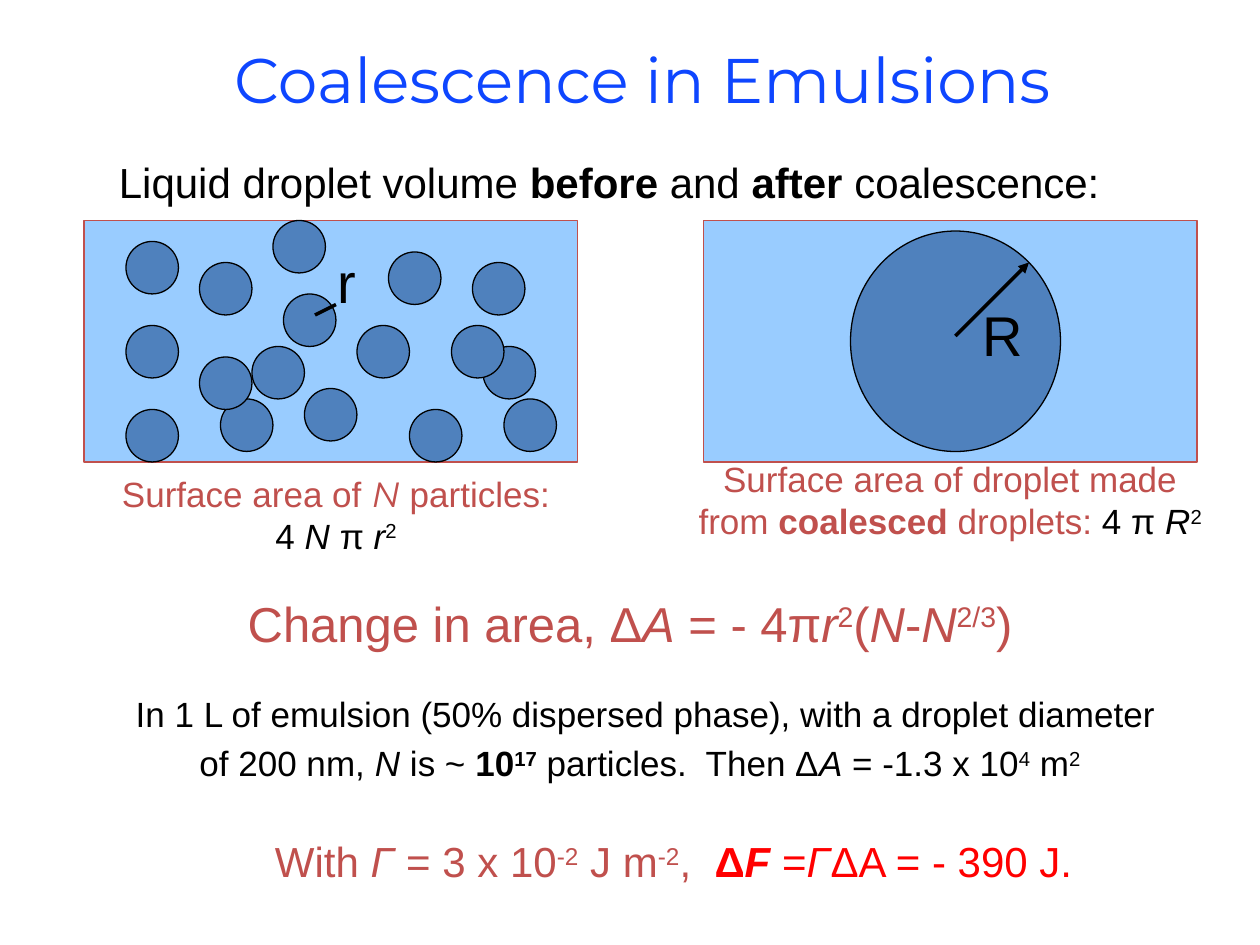
"""Build the slide on droplet coalescence in emulsions."""
import pptx
import pptx.dml.color
import pptx.enum.shapes
import pptx.enum.text
import pptx.oxml
import pptx.oxml.ns
import pptx.util

Pt = pptx.util.Pt
SHAPE = pptx.enum.shapes.MSO_SHAPE
ALIGN = pptx.enum.text.PP_ALIGN
AUTO = pptx.enum.text.MSO_AUTO_SIZE
COLORS = {name: pptx.dml.color.RGBColor.from_string(value) for name, value in {
    "title": "0E46FF", "water": "99CCFF", "droplet": "4F81BD",
    "brick": "C0504D", "black": "000000", "red": "FF0000"}.items()}


def add_area(kind, left, top, width, height, fill, outline):
    area = slide.shapes.add_shape(kind, Pt(left), Pt(top), Pt(width), Pt(height))
    area.shadow.inherit = False
    area.fill.solid()
    area.fill.fore_color.rgb = COLORS[fill]
    area.line.color.rgb = COLORS[outline]
    area.line.width = Pt(0.75)


def add_text(left, top, width, height, size, color, runs, align=ALIGN.CENTER, wrap=True):
    box = slide.shapes.add_textbox(Pt(left), Pt(top), Pt(width), Pt(height))
    frame = box.text_frame
    frame.word_wrap = wrap
    frame.auto_size = AUTO.SHAPE_TO_FIT_TEXT
    paragraph = frame.paragraphs[0]
    paragraph.alignment = align
    for text, style in runs:
        marks = style.split()
        run = paragraph.add_run()
        run.text = text
        run.font.name = "Montserrat" if "Montserrat" in marks else "Arial"
        run.font.size = Pt(next((int(m) for m in marks if m.isdigit()), size))
        run.font.color.rgb = COLORS[next((m for m in marks if m in COLORS), color)]
        run.font.bold = "bold" in marks
        run.font.italic = "italic" in marks
        if "super" in marks:
            run._r.get_or_add_rPr().set("baseline", "30000")
    return frame


deck = pptx.Presentation()
deck.slide_width, deck.slide_height = Pt(720), Pt(540)
slide = deck.slides.add_slide(deck.slide_layouts[5])

title = slide.shapes.title
title.left, title.top, title.width, title.height = Pt(72), Pt(16), Pt(590), Pt(57)
title.text_frame.text = "Coalescence in Emulsions"
title.text_frame.auto_size = AUTO.NONE
title.text_frame.vertical_anchor = pptx.enum.text.MSO_ANCHOR.MIDDLE
heading = title.text_frame.paragraphs[0]
heading.alignment = ALIGN.CENTER
heading.runs[0].font.name = "Montserrat"
heading.runs[0].font.size = Pt(36)
heading.runs[0].font.color.rgb = COLORS["title"]

for left in (402, 48):
    add_area(SHAPE.RECTANGLE, left, 126, 282, 138, "water", "brick")

droplets = [(156, 126), (144, 198), (72, 234), (72, 138), (126, 228), (174, 222),
            (222, 144), (276, 198), (114, 150), (72, 186), (162, 168), (204, 186),
            (270, 150), (114, 204), (288, 228), (258, 186), (234, 234)]
for left, top in droplets:
    add_area(SHAPE.OVAL, left, top, 30, 30, "droplet", "black")
add_area(SHAPE.OVAL, 486, 132, 120, 126, "droplet", "black")

for ends, has_arrow in (((546, 192, 588, 150), True), ((180, 180, 192, 174), False)):
    radius = slide.shapes.add_connector(
        pptx.enum.shapes.MSO_CONNECTOR.STRAIGHT, *[Pt(end) for end in ends])
    radius.line.color.rgb = COLORS["black"]
    radius.line.width = Pt(2)
    if has_arrow:
        arrow = pptx.oxml.parse_xml(
            f'<a:tailEnd {pptx.oxml.ns.nsdecls("a")} type="triangle"/>')
        radius.line._get_or_add_ln().append(arrow)
    radius._element.spPr.append(
        pptx.oxml.parse_xml(f'<a:effectLst {pptx.oxml.ns.nsdecls("a")}/>'))

add_text(60, 266.4, 264, 55.4, 20, "brick", [
    ("Surface area of ", ""), ("N", "italic Montserrat"), (" particles:", ""),
    (" 4 ", "black"), ("N ", "black italic"), ("π ", "black"),
    ("r", "black italic"), ("2", "black super")])
add_text(384, 258, 318, 55.4, 20, "brick", [
    ("Surface area of droplet made from ", ""), ("coalesced", "bold"),
    (" droplets:", ""), (" 4 π ", "black"), ("R", "black italic"),
    ("2", "black super")])
volume = add_text(12, 78, 690, 45.4, 24, "black", [
    ("Liquid droplet volume ", ""), ("before", "bold"), (" and ", ""),
    ("after", "bold"), (" coalescence:", ""), (" ", "32")])
volume.margin_right = Pt(16)
add_text(552, 168, 42, 45.4, 32, "black", [("R", "")], ALIGN.CENTER)
add_text(186, 138, 24, 45.4, 32, "black", [("r", "")], ALIGN.CENTER)
add_text(48, 335.5, 624, 41, 28, "brick", [
    ("Change in area, Δ", ""), ("A", "italic"), (" = - 4π", ""), ("r", "italic"),
    ("2", "super"), ("(", ""), ("N", "italic"), ("-", ""), ("N", "italic"),
    ("2/3", "super"), (")", "")])
add_text(64.8, 392.4, 608.4, 60.5, 20, "black", [
    ("In 1 L of emulsion (50% dispersed phase), with a droplet diameter of 200 nm, ", ""),
    ("N", "italic"), (" is ~ ", ""), ("10", "bold"), ("17", "bold super"),
    (" particles.  Then Δ", ""), ("A", "italic"), (" = -1.3 x 10", ""),
    ("4", "super"), (" m", ""), ("2", "super"), (" ", "24")])
add_text(150, 474, 475, 36, 24, "brick", [
    ("With ", ""), ("Γ", "italic"), (" = 3 x 10", ""), ("-2", "super"),
    (" J m", ""), ("-2", "super"), (",  ", ""), ("Δ", "red bold"),
    ("F ", "red bold italic"), ("=", "red"), ("Γ", "red italic"),
    ("ΔA = - 390 J.", "red")], ALIGN.LEFT, wrap=False)

deck.save("out.pptx")
